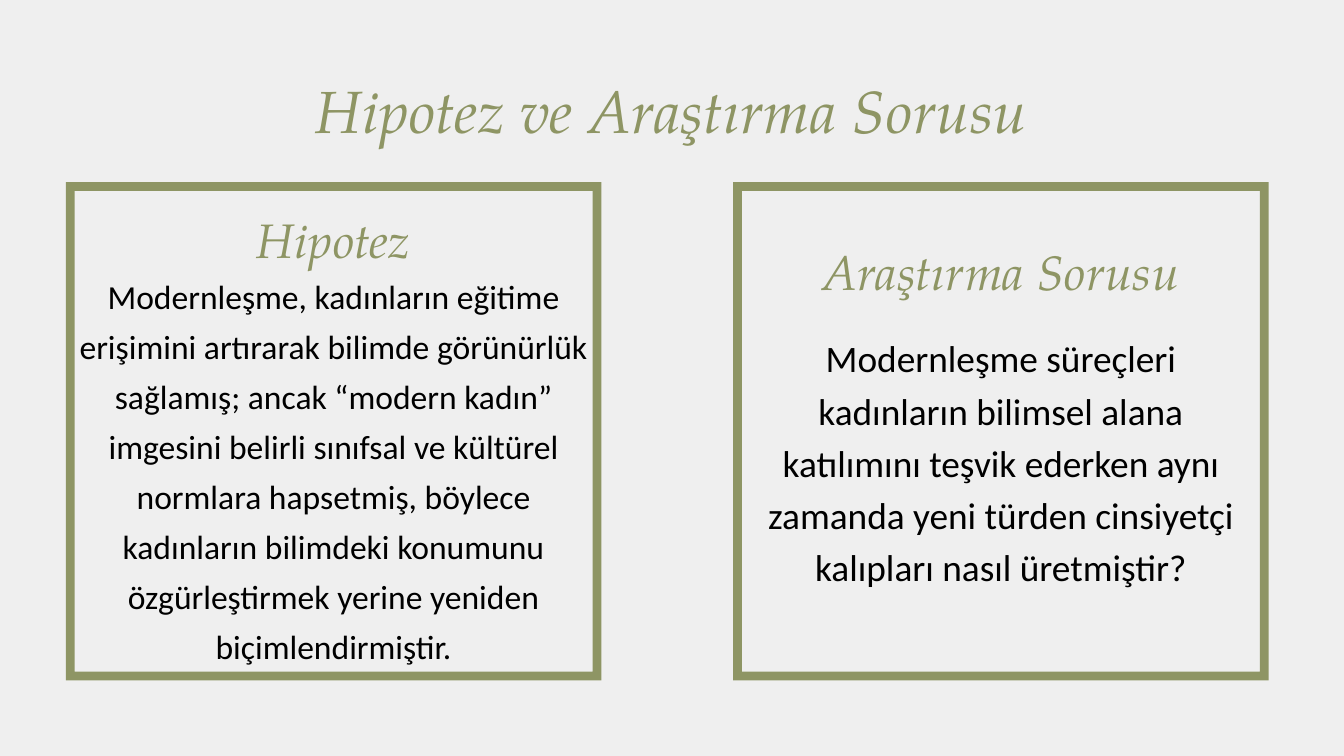
from dataclasses import dataclass

from pptx import Presentation
from pptx.dml.color import RGBColor
from pptx.enum.shapes import MSO_SHAPE
from pptx.enum.text import MSO_ANCHOR, MSO_AUTO_SIZE, PP_ALIGN
from pptx.util import Inches, Pt

COLORS = {"page": "EFEFEF", "olive": "8E9564", "ink": "000000"}
WIDE, HIGH = Inches(20), Inches(11.25)


@dataclass(frozen=True)
class Box:
    """A place on the slide, in percent of its width and height."""
    left: float
    top: float
    width: float
    height: float

    def inset(self, side: float, top: float, height: float) -> "Box":
        """Return a band centred across this box."""
        return Box(self.left + side, top, self.width - 2 * side, height)

    def size(self) -> tuple[int, int, int, int]:
        """Return the place in slide units."""
        return (round(WIDE * self.left / 100), round(HIGH * self.top / 100),
                round(WIDE * self.width / 100), round(HIGH * self.height / 100))


@dataclass(frozen=True)
class Style:
    """The look of a paragraph, with sizes in points."""
    font: str
    size: float
    lead: float
    color: str
    slant: bool = False
    track: int = 0


@dataclass(frozen=True)
class Panel:
    """A framed column with a heading and a body."""
    left: float
    head: str
    head_top: float
    body: str
    body_top: float
    body_high: float
    side: float
    style: Style


SERIF = "TeX Gyre Pagella"
TITLE = Style(SERIF, 63.6, 76.3, "olive", True, 60)
HEAD = Style(SERIF, 51.7, 62, "olive", True, 50)

PANELS = (
    Panel(4.9, "Hipotez", 27.82,
          "Modernleşme, kadınların eğitime erişimini artırarak bilimde görünürlük "
          "sağlamış; ancak “modern kadın” imgesini belirli sınıfsal ve kültürel "
          "normlara hapsetmiş, böylece kadınların bilimdeki konumunu "
          "özgürleştirmek yerine yeniden biçimlendirmiştir.",
          35.29, 53.33, 1, Style("Calibri", 36, 53.5, "ink")),
    Panel(54.55, "Araştırma Sorusu", 32,
          "Modernleşme süreçleri kadınların bilimsel alana katılımını teşvik "
          "ederken aynı zamanda yeni türden cinsiyetçi kalıpları nasıl üretmiştir?",
          43.38, 34.49, 2, Style("Calibri", 40, 56, "ink")),
)


def tint(name: str) -> RGBColor:
    """Return a named colour."""
    return RGBColor.from_string(COLORS[name])


def write(shape, box: Box, text: str, style: Style) -> None:
    """Place a text shape and fill it with one centred run."""
    shape.left, shape.top, shape.width, shape.height = box.size()
    frame = shape.text_frame
    frame.word_wrap = True
    frame.auto_size = MSO_AUTO_SIZE.SHAPE_TO_FIT_TEXT
    frame.vertical_anchor = MSO_ANCHOR.TOP
    frame.margin_left = frame.margin_right = 0
    frame.margin_top = frame.margin_bottom = 0
    para = frame.paragraphs[0]
    para.alignment = PP_ALIGN.CENTER
    para.line_spacing = Pt(style.lead)
    para.space_before = Pt(0)
    run = para.add_run()
    run.text = text
    font = run.font
    font.name, font.size, font.italic = style.font, Pt(style.size), style.slant
    font.color.rgb = tint(style.color)
    if style.track:
        run._r.get_or_add_rPr().set("spc", str(style.track))


def draw(slide, panel: Panel) -> None:
    """Draw a frame with its heading and body."""
    box = Box(panel.left, 24.09, 39.85, 65.91)
    frame = slide.shapes.add_shape(MSO_SHAPE.FRAME, *box.size())
    frame.shadow.inherit = False
    frame.adjustments[0] = Inches(0.13) / frame.height
    frame.fill.solid()
    frame.fill.fore_color.rgb = tint("olive")
    frame.line.fill.background()
    rows = ((box.inset(2, panel.head_top, 7.47), panel.head, HEAD),
            (box.inset(panel.side, panel.body_top, panel.body_high),
             panel.body, panel.style))
    for place, text, style in rows:
        write(slide.shapes.add_textbox(*place.size()), place, text, style)


def main() -> None:
    """Build the slide and save it."""
    deck = Presentation()
    deck.slide_width, deck.slide_height = WIDE, HIGH
    slide = deck.slides.add_slide(deck.slide_layouts[5])
    slide.background.fill.solid()
    slide.background.fill.fore_color.rgb = tint("page")
    write(slide.shapes.title, Box(17.7, 9.87, 64.6, 9.51),
          "Hipotez ve Araştırma Sorusu", TITLE)
    for panel in PANELS:
        draw(slide, panel)
    deck.save("out.pptx")


if __name__ == "__main__":
    main()
